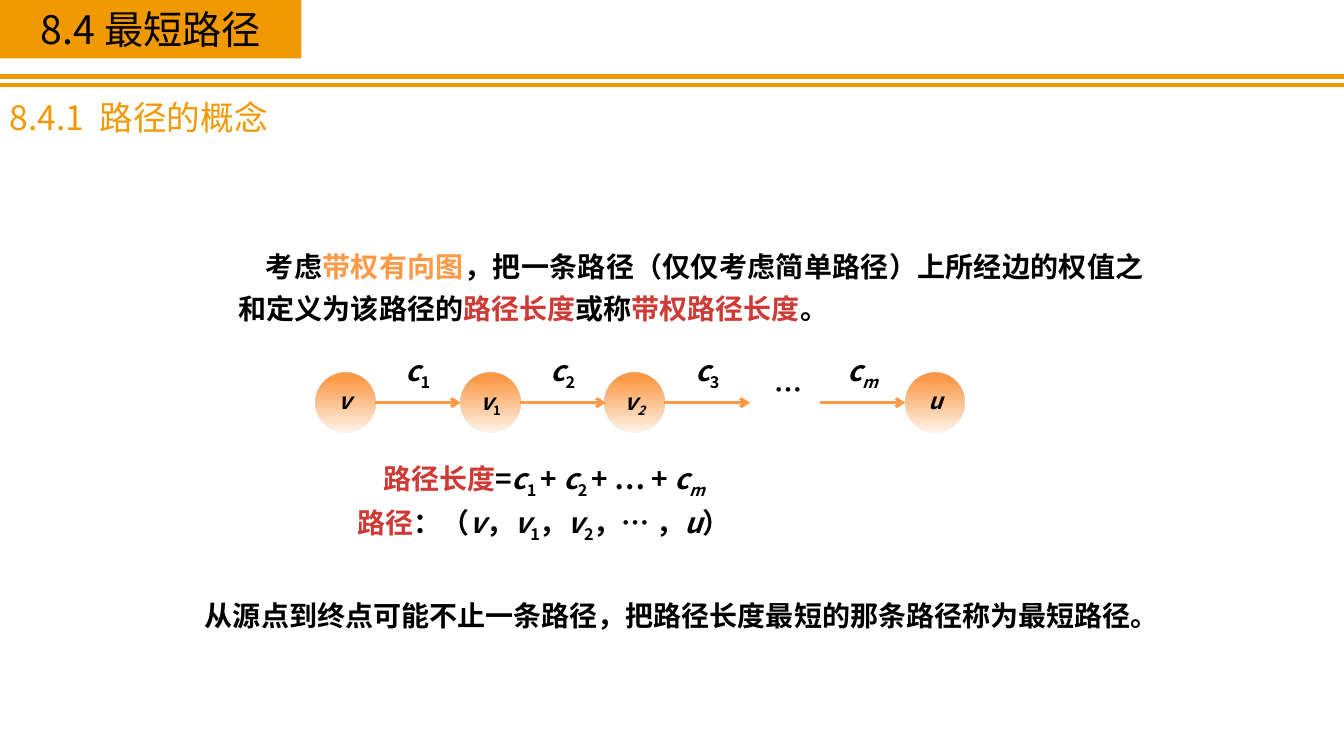
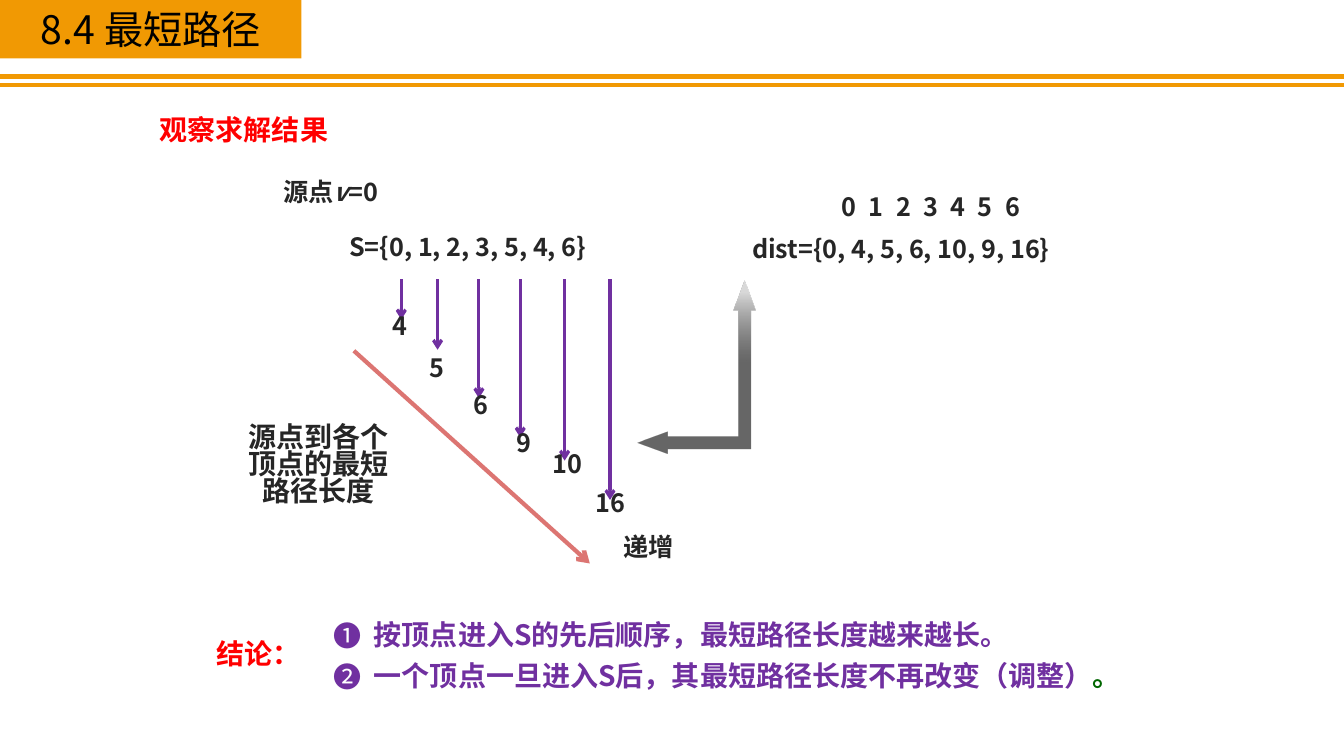
"""Build two slides on the concept of shortest paths."""
from lxml import etree
from pptx import Presentation
from pptx.dml.color import RGBColor
from pptx.enum.shapes import MSO_CONNECTOR as Connector, MSO_SHAPE as Preset
from pptx.enum.text import MSO_ANCHOR as Anchor, MSO_AUTO_SIZE as AutoSize, PP_ALIGN as Align
from pptx.oxml.ns import qn
from pptx.util import Inches, Pt

FONT = "Noto Sans CJK SC"
GOLD, ORANGE, CRIMSON, RED = "F19903", "FC9A48", "CE3B37", "FF0000"
PURPLE, GREEN, BLACK, CHARCOAL = "7030A0", "006600", "000000", "262626"
TITLE_ONLY = 5
SLIDE_WIDTH = 13.33
RULE_TOPS = (0.76, 0.84)
DEFAULT_INSETS = (0.1, 0.05, 0.1, 0.05)

TITLE = "8.4 最短路径"
SECTION = "8.4.1  路径的概念"
ITALIC, SUB, ITALIC_SUB = "italic", "sub", "italic sub"

DEFINITION = [
    "考虑", ("带权有向图", "", ORANGE),
    "，把一条路径（仅仅考虑简单路径）上所经边的权值之和定义为该路径的",
    ("路径长度", "", CRIMSON), "或称", ("带权路径长度", "", CRIMSON), "。",
]
SHORTEST = ["从源点到终点可能不止一条路径，把路径长度最短的那条路径称为最短路径。"]
FORMULAS = [
    [("路径长度", "", CRIMSON), "=", ("c", ITALIC), ("1 ", SUB), "+ ", ("c", ITALIC),
     ("2 ", SUB), "+ … + ", ("c", ITALIC), ("m", ITALIC_SUB)],
    [("路径", "", CRIMSON), "：（", ("v", ITALIC), "，", ("v", ITALIC), ("1", SUB), "，",
     ("v", ITALIC), ("2", SUB), "，… ，", ("u", ITALIC), "）"],
]
NODE_SIZE, NODE_TOP, EDGE_LENGTH = 0.59, 3.7, 0.85
NODES = [
    (3.13, [("v", ITALIC)]),
    (4.57, [("v", ITALIC), ("1", SUB)]),
    (6, [("v", ITALIC), ("2", ITALIC_SUB)]),
    (8.98, [("u", ITALIC)]),
]
EDGE_SUBSCRIPTS = [("1", SUB), ("2", SUB), ("3", SUB), ("m", ITALIC_SUB)]

LENGTHS = [
    ("4", 3.98, 3.17, 3.96, 3.09),
    ("5", 4.34, 3.47, 4.33, 3.5),
    ("6", 4.75, 3.95, 4.76, 3.87),
    ("9", 5.16, 4.34, 5.19, 4.25),
    ("10", 5.6, 4.57, 5.62, 4.46),
    ("16", 6.05, 4.96, 6.05, 4.84),
]
VERTICES = range(7)
VERTEX_PITCH = 0.27
CONCLUSIONS = [
    ("❶", ["按顶点进入S的先后顺序，最短路径长度越来越长。"]),
    ("❷", ["一个顶点一旦进入S后，其最短路径长度不再改变（调整）", ("。", "", GREEN)]),
]


def color(value):
    return RGBColor.from_string(value)


def write_paragraph(paragraph, runs, size, base, bold=True, align=Align.CENTER, spacing=0.8):
    paragraph.alignment = align
    paragraph.line_spacing = spacing
    for item in runs:
        text, style, tint = ((item,) if isinstance(item, str) else item) + ("", base)[-3 + max(
            1, 1 if isinstance(item, str) else len(item)):] if not (
            isinstance(item, tuple) and len(item) == 3) else item
        run = paragraph.add_run()
        run.text = text
        font = run.font
        font.name, font.size, font.bold = FONT, Pt(size), bold
        font.italic = "italic" in style
        font.color.rgb = color(tint)
        properties = run._r.get_or_add_rPr()
        if "sub" in style:
            properties.set("baseline", "-25000")
        east_asian = etree.Element(qn("a:ea"), typeface=FONT)
        properties.find(qn("a:latin")).addnext(east_asian)


def write_text(shape, paragraphs, size, base=CHARCOAL, insets=DEFAULT_INSETS,
               anchor=Anchor.TOP, fit=AutoSize.SHAPE_TO_FIT_TEXT, **options):
    frame = shape.text_frame
    frame.word_wrap = True
    frame.auto_size = fit
    frame.vertical_anchor = anchor
    (frame.margin_left, frame.margin_top,
     frame.margin_right, frame.margin_bottom) = map(Inches, insets)
    for index, runs in enumerate(paragraphs):
        paragraph = frame.add_paragraph() if index else frame.paragraphs[0]
        if index:
            paragraph.space_before = Pt(10)
        write_paragraph(paragraph, runs, size, base, **options)
    return frame


def add_text(shapes, box, paragraphs, size, base=CHARCOAL, **options):
    return write_text(shapes.add_textbox(*map(Inches, box)), paragraphs, size, base, **options)


def add_line(shapes, start, end, tint, width, arrow=True, opacity=None):
    line = shapes.add_connector(Connector.STRAIGHT, *map(Inches, start + end))
    line.line.color.rgb = color(tint)
    line.line.width = Pt(width)
    properties = line.element.spPr
    outline = properties.find(qn("a:ln"))
    if opacity:
        etree.SubElement(next(outline.iter(qn("a:srgbClr"))), qn("a:alpha"),
                         val=str(opacity * 1000))
    if arrow:
        etree.SubElement(outline, qn("a:tailEnd"), type="arrow")
    etree.SubElement(properties, qn("a:effectLst"))
    return line


def add_gradient_shape(shapes, preset, box, stops):
    shape = shapes.add_shape(preset, *map(Inches, box))
    shape.shadow.inherit = False
    shape.line.fill.background()
    shape.fill.gradient()
    shape.fill.gradient_angle = 270
    stop_list = next(shape.element.iter(qn("a:gsLst")))
    for stop in list(stop_list):
        stop_list.remove(stop)
    for position, tint, opacity in stops:
        stop = etree.SubElement(stop_list, qn("a:gs"), pos=str(position * 1000))
        solid = etree.SubElement(stop, qn("a:srgbClr"), val=tint)
        etree.SubElement(solid, qn("a:alpha"), val=str(opacity * 1000))
    return shape


def add_titled_slide(presentation):
    slide = presentation.slides.add_slide(presentation.slide_layouts[TITLE_ONLY])
    title = slide.shapes.title
    title.left, title.top, title.width, title.height = map(Inches, (0, 0, 2.99, 0.58))
    title.fill.solid()
    title.fill.fore_color.rgb = color(GOLD)
    write_text(title, [[TITLE]], 28, BLACK, insets=(0.06, 0.14, 0.06, 0.06),
               fit=AutoSize.NONE, bold=False)
    for top in RULE_TOPS:
        add_line(slide.shapes, (0, top), (SLIDE_WIDTH, top), GOLD, 3, arrow=False)
    return slide.shapes


def build_concept_slide(presentation):
    shapes = add_titled_slide(presentation)
    add_text(shapes, (0, 0.99, 4.77, 0.42), [[SECTION]], 24, GOLD, bold=False, align=Align.LEFT)
    definition = add_text(shapes, (2.27, 2.34, 9.17, 0.94), [DEFINITION], 20, BLACK,
                          align=Align.JUSTIFY, spacing=Pt(30))
    definition.paragraphs[0]._p.get_or_add_pPr().set("indent", str(Inches(0.27)))
    add_text(shapes, (1.9, 5.81, 9.45, 0.52), [SHORTEST], 20, BLACK, spacing=Pt(30))

    diagram = shapes.add_group_shape().shapes
    for left, label in NODES:
        node = add_gradient_shape(diagram, Preset.OVAL, (left, NODE_TOP, NODE_SIZE, NODE_SIZE),
                                  [(10, ORANGE, 100), (100, ORANGE, 10)])
        write_text(node, [label], 16, BLACK, insets=(0, 0, 0, 0),
                   anchor=Anchor.MIDDLE, fit=AutoSize.NONE)
    lefts = [left for left, label in NODES]
    starts = [left + NODE_SIZE for left in lefts[:-1]] + [lefts[-1] - EDGE_LENGTH]
    middle = NODE_TOP + NODE_SIZE / 2
    for start, subscript in zip(starts, EDGE_SUBSCRIPTS):
        add_line(diagram, (start, middle), (start + EDGE_LENGTH, middle), ORANGE, 2.25)
        add_text(diagram, (start + 0.27, 3.54, 0.31, 0.27), [[("c", ITALIC), subscript]],
                 20, BLACK, insets=(0, 0, 0, 0))
    add_text(diagram, (7.51, 3.71, 0.63, 0.37), [["…"]], 20, BLACK)
    add_text(shapes, (3.05, 4.56, 4.69, 0.81), FORMULAS, 20, BLACK)


def add_vertex_row(shapes):
    row = add_text(shapes, (8.25, 1.91, 2.1, 0.34), [["\t".join(map(str, VERTICES))]], 18,
                   align=Align.LEFT)
    tabs = etree.SubElement(row.paragraphs[0]._p.get_or_add_pPr(), qn("a:tabLst"))
    for vertex in VERTICES[1:]:
        etree.SubElement(tabs, qn("a:tab"), pos=str(Inches(vertex * VERTEX_PITCH)), algn="l")


def add_conclusions(shapes):
    frame = add_text(shapes, (3.21, 6.11, 7.89, 0.86), [runs for mark, runs in CONCLUSIONS],
                     20, PURPLE, insets=(0.1, 0.08, 0.1, 0.08), align=Align.LEFT)
    for paragraph, (mark, runs) in zip(frame.paragraphs, CONCLUSIONS):
        properties = paragraph._p.get_or_add_pPr()
        properties.set("marL", str(Inches(0.4)))
        properties.set("indent", str(Inches(-0.4)))
        etree.SubElement(properties, qn("a:buFont"), typeface=FONT)
        etree.SubElement(properties, qn("a:buChar"), char=mark)


def build_result_slide(presentation):
    shapes = add_titled_slide(presentation)
    add_text(shapes, (1.48, 1.13, 1.88, 0.37), [["观察求解结果"]], 20, RED)
    add_text(shapes, (2.42, 1.76, 1.72, 0.34), [["源点", ("v", ITALIC), "=0"]], 18)
    for box, text in [((2.96, 2.35, 3.36, 0.24), "S={0, 1, 2, 3, 5, 4, 6}"),
                      ((6.93, 2.37, 4.01, 0.24), "dist={0, 4, 5, 6, 10, 9, 16}")]:
        add_text(shapes, box, [[text]], 18, insets=(0, 0, 0, 0))
    add_vertex_row(shapes)

    trend = shapes.add_group_shape().shapes
    add_line(trend, (3.51, 3.48), (5.85, 5.59), CRIMSON, 3, opacity=70)
    add_text(trend, (5.85, 5.28, 1.17, 0.34), [["递增"]], 18)

    lengths = shapes.add_group_shape().shapes
    for value, x, bottom, center, top in LENGTHS:
        add_line(lengths, (x, 2.77), (x, bottom), PURPLE, 2.25)
        add_text(lengths, (center - 0.27, top, 0.55, 0.34), [[value]], 18)
    add_text(lengths, (2.34, 4.18, 1.64, 0.91), [["源点到各个顶点的最短路径长度"]], 20)

    add_text(shapes, (2.02, 6.33, 1.09, 0.37), [["结论："]], 20, RED)
    add_conclusions(shapes)
    bent_arrow = add_gradient_shape(
        shapes, Preset.LEFT_UP_ARROW, (6.32, 2.78, 1.17, 1.72),
        [(7, "D9D9D9", 100), (47, CHARCOAL, 70), (100, CHARCOAL, 70)])
    for index, value in enumerate((0.108, 0.096, 0.258)):
        bent_arrow.adjustments[index] = round(value, 3)


def main():
    presentation = Presentation()
    presentation.slide_width, presentation.slide_height = Inches(SLIDE_WIDTH), Inches(7.5)
    build_concept_slide(presentation)
    build_result_slide(presentation)
    presentation.save("out.pptx")


if __name__ == "__main__":
    main()
